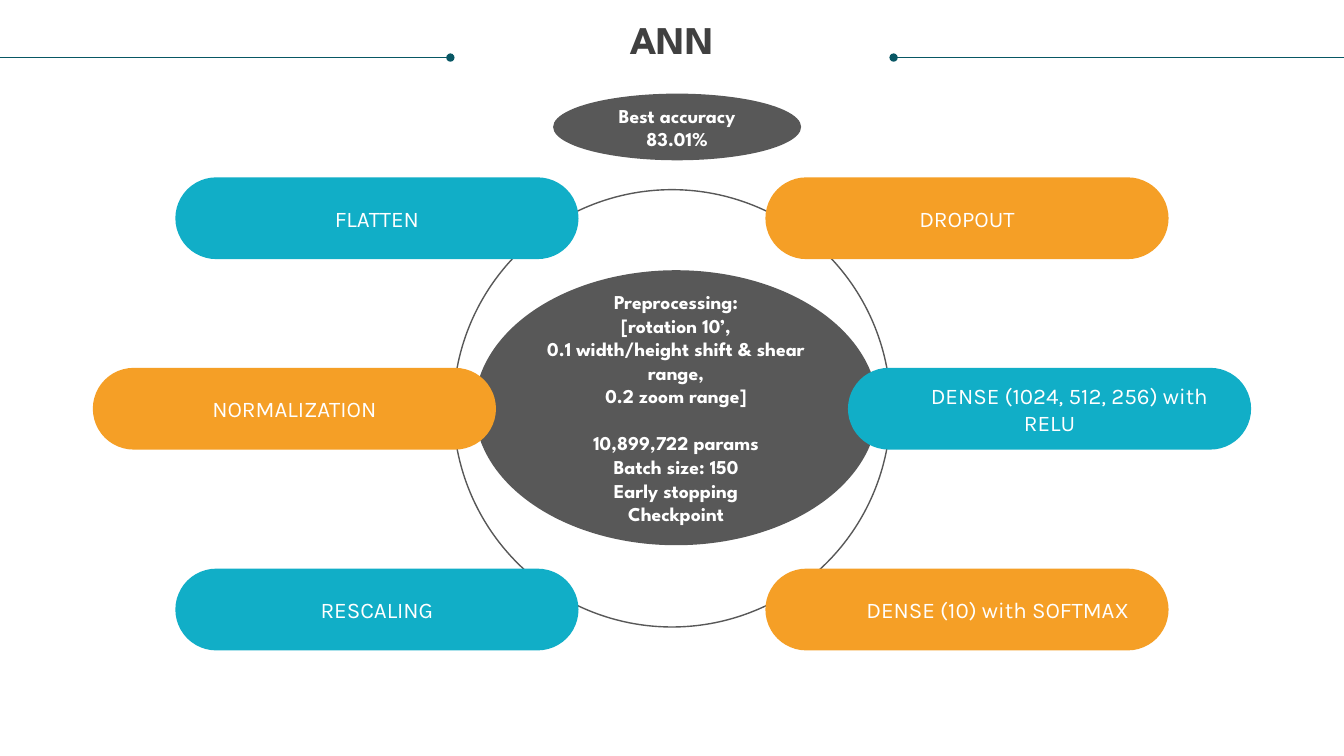
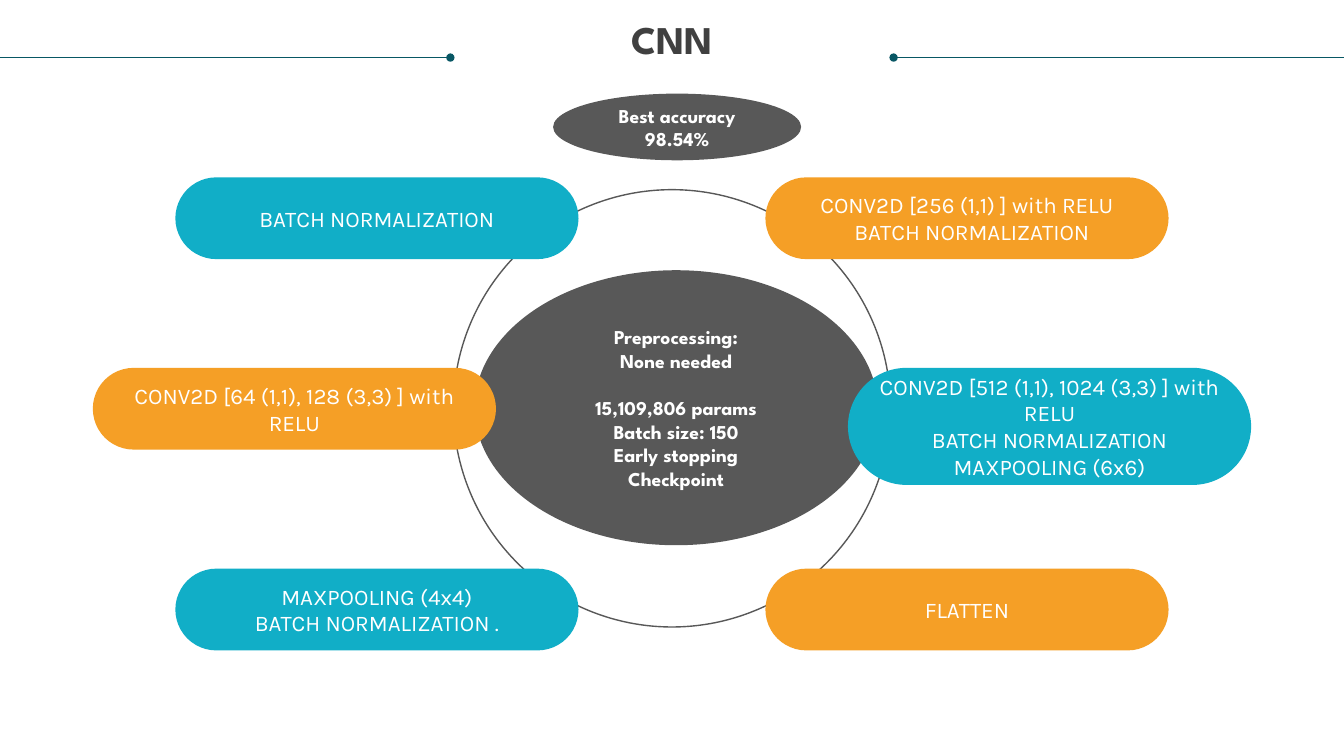
"""Build two slides that summarise the layers of two neural networks."""
from dataclasses import dataclass

from lxml import etree
from pptx import Presentation
from pptx.dml.color import RGBColor
from pptx.enum.shapes import MSO_CONNECTOR, MSO_SHAPE
from pptx.enum.text import MSO_ANCHOR, MSO_AUTO_SIZE, PP_ALIGN
from pptx.oxml.ns import qn
from pptx.util import Cm, Pt

CENTER = PP_ALIGN.CENTER
TOP, MIDDLE = MSO_ANCHOR.TOP, MSO_ANCHOR.MIDDLE
ELLIPSE, PILL = MSO_SHAPE.OVAL, MSO_SHAPE.ROUNDED_RECTANGLE
STRAIGHT = MSO_CONNECTOR.STRAIGHT
NO_AUTOFIT = MSO_AUTO_SIZE.NONE
TITLE_ONLY = 5


@dataclass(frozen=True)
class Theme:
    """Colours, fonts and type sizes shared by the slides."""
    title: RGBColor = RGBColor(0x40, 0x40, 0x40)
    rule: RGBColor = RGBColor(0x08, 0x57, 0x64)
    dark: RGBColor = RGBColor(0x58, 0x58, 0x58)
    teal: RGBColor = RGBColor(0x11, 0xAE, 0xC7)
    orange: RGBColor = RGBColor(0xF5, 0x9F, 0x26)
    white: RGBColor = RGBColor(0xFF, 0xFF, 0xFF)
    heading_font: str = "League Spartan"
    body_font: str = "Karla"
    title_size: int = 28
    note_size: int = 14
    layer_size: int = 16


@dataclass(frozen=True)
class Line:
    """One paragraph, with its first-line indent in cm and space before in points."""
    text: str
    indent: float = 0
    before: float = 0


@dataclass(frozen=True)
class Network:
    """The content of one slide; layers run from top to bottom."""
    name: str
    accuracy: str
    training: list
    left_layers: list
    right_layers: list


THEME = Theme()

# Lengths in cm
SLIDE_W, SLIDE_H = 33.87, 19.05
RULE_Y, RULE_LENGTH = 1.45, 11.35
RING_TOP, RING_SIZE = 4.78, 11.02
LAYER_W, LAYER_H, TALL_LAYER_H = 10.16, 2.06, 2.95
LAYER_ROWS = [(4.42, 4.47), (2.34, 9.27), (4.42, 14.33)]  # side margin, top
PARAGRAPH_GAP = 17  # points

SETTINGS = [Line("Batch size: 150"), Line("Early stopping"), Line("Checkpoint")]

NETWORKS = [
    Network(
        name="ANN",
        accuracy="83.01%",
        training=[
            Line("Preprocessing:"),
            Line("[rotation 10’,"),
            Line("0.1 width/height shift & shear range,"),
            Line("0.2 zoom range]"),
            Line("10,899,722 params", before=PARAGRAPH_GAP),
            *SETTINGS,
        ],
        left_layers=[
            [Line("FLATTEN")],
            [Line("NORMALIZATION")],
            [Line("RESCALING")],
        ],
        right_layers=[
            [Line("DROPOUT")],
            [Line("DENSE (1024, 512, 256) with RELU", indent=1)],
            [Line("DENSE (10) with SOFTMAX", indent=1.55)],
        ],
    ),
    Network(
        name="CNN",
        accuracy="98.54%",
        training=[
            Line("Preprocessing:"),
            Line("None needed"),
            Line("15,109,806 params", before=PARAGRAPH_GAP),
            *SETTINGS,
        ],
        left_layers=[
            [Line("BATCH NORMALIZATION")],
            [Line("CONV2D [64 (1,1), 128 (3,3) ] with RELU")],
            [Line("MAXPOOLING (4x4)"), Line("BATCH NORMALIZATION .")],
        ],
        right_layers=[
            [Line("CONV2D [256 (1,1) ] with RELU"),
             Line("BATCH NORMALIZATION", indent=0.25)],
            [Line("CONV2D [512 (1,1), 1024 (3,3) ] with RELU"),
             Line("BATCH NORMALIZATION"),
             Line("MAXPOOLING (6x6)")],
            [Line("FLATTEN")],
        ],
    ),
]


def format_runs(paragraph, font_name, size, color, bold=False):
    """Give every run of a paragraph the same font."""
    for run in paragraph.runs:
        run.font.name = font_name
        run.font.size = Pt(size)
        run.font.bold = bold
        run.font.color.rgb = color


def write_lines(shape, lines, font_name, size, bold=False):
    """Write centred white paragraphs in the middle of a shape."""
    frame = shape.text_frame
    frame.word_wrap = True
    frame.vertical_anchor = MIDDLE
    frame.text = "\n".join(line.text for line in lines)
    for paragraph, line in zip(frame.paragraphs, lines):
        paragraph.alignment = CENTER
        if line.before:
            paragraph.space_before = Pt(line.before)
        if line.indent:
            paragraph._p.get_or_add_pPr().set("indent", str(int(Cm(line.indent))))
        format_runs(paragraph, font_name, size, THEME.white, bold)


def add_title(slide, name):
    """Place and format the title placeholder."""
    title = slide.shapes.title
    title.left, title.top = Cm(0.64), Cm(0.53)
    title.width, title.height = Cm(SLIDE_W - 2 * 0.64), Cm(2.16)
    frame = title.text_frame
    frame.text = name
    frame.auto_size = NO_AUTOFIT
    frame.vertical_anchor = TOP
    frame.margin_left = frame.margin_right = 0
    frame.margin_top = frame.margin_bottom = 0
    heading = frame.paragraphs[0]
    heading.alignment = CENTER
    heading.line_spacing = 0.9
    format_runs(heading, THEME.heading_font, THEME.title_size, THEME.title, bold=True)


def add_title_rule(slide, edge, inner_end):
    """Draw a line from the slide's edge to a dot beside the title."""
    rule = slide.shapes.add_connector(
        STRAIGHT, Cm(edge), Cm(RULE_Y), Cm(inner_end), Cm(RULE_Y))
    rule.line.color.rgb = THEME.rule
    rule.line.width = Pt(0.5)
    etree.SubElement(rule.line._get_or_add_ln(), qn("a:tailEnd"), type="oval")
    etree.SubElement(rule._element.spPr, qn("a:effectLst"))


def add_ring(slide):
    """Draw the circle that joins the layers."""
    ring = slide.shapes.add_shape(
        ELLIPSE, Cm((SLIDE_W - RING_SIZE) / 2), Cm(RING_TOP),
        Cm(RING_SIZE), Cm(RING_SIZE))
    ring.shadow.inherit = False
    ring.fill.background()
    ring.line.color.rgb = THEME.dark
    ring.line.width = Pt(1)


def add_filled(slide, preset, left, top, width, height, color):
    """Add a flat shape without outline and return it."""
    shape = slide.shapes.add_shape(preset, Cm(left), Cm(top), Cm(width), Cm(height))
    shape.shadow.inherit = False
    shape.fill.solid()
    shape.fill.fore_color.rgb = color
    shape.line.fill.background()
    return shape


def add_note(slide, left, top, width, height, lines):
    """Add a dark ellipse with bold text."""
    note = add_filled(slide, ELLIPSE, left, top, width, height, THEME.dark)
    write_lines(note, lines, THEME.heading_font, THEME.note_size, bold=True)


def add_layer(slide, left, top, color, lines):
    """Add a pill for one layer, taller when it holds many lines."""
    height = TALL_LAYER_H if len(lines) > 2 else LAYER_H
    layer = add_filled(slide, PILL, left, top, LAYER_W, height, color)
    layer.adjustments[0] = 0.5
    write_lines(layer, lines, THEME.body_font, THEME.layer_size)


def add_layers(slide, network):
    """Place the layers on both sides of the ring in alternating colours."""
    colors = (THEME.teal, THEME.orange)
    for side, layers in enumerate((network.left_layers, network.right_layers)):
        for row, ((margin, top), lines) in enumerate(zip(LAYER_ROWS, layers)):
            left = SLIDE_W - margin - LAYER_W if side else margin
            add_layer(slide, left, top, colors[(row + side) % 2], lines)


def add_network_slide(deck, network):
    """Build the slide of one network."""
    slide = deck.slides.add_slide(deck.slide_layouts[TITLE_ONLY])
    add_title(slide, network.name)
    add_title_rule(slide, 0, RULE_LENGTH)
    add_title_rule(slide, SLIDE_W, SLIDE_W - RULE_LENGTH)
    add_ring(slide)
    add_note(slide, 11.96, 6.81, 10.16, 6.93, network.training)
    add_layers(slide, network)
    add_note(slide, 13.94, 2.36, 6.25, 1.68,
             [Line(f"Best accuracy {network.accuracy}")])


def main():
    """Create the deck and save it."""
    deck = Presentation()
    deck.slide_width, deck.slide_height = Cm(SLIDE_W), Cm(SLIDE_H)
    for network in NETWORKS:
        add_network_slide(deck, network)
    deck.save("out.pptx")


if __name__ == "__main__":
    main()
